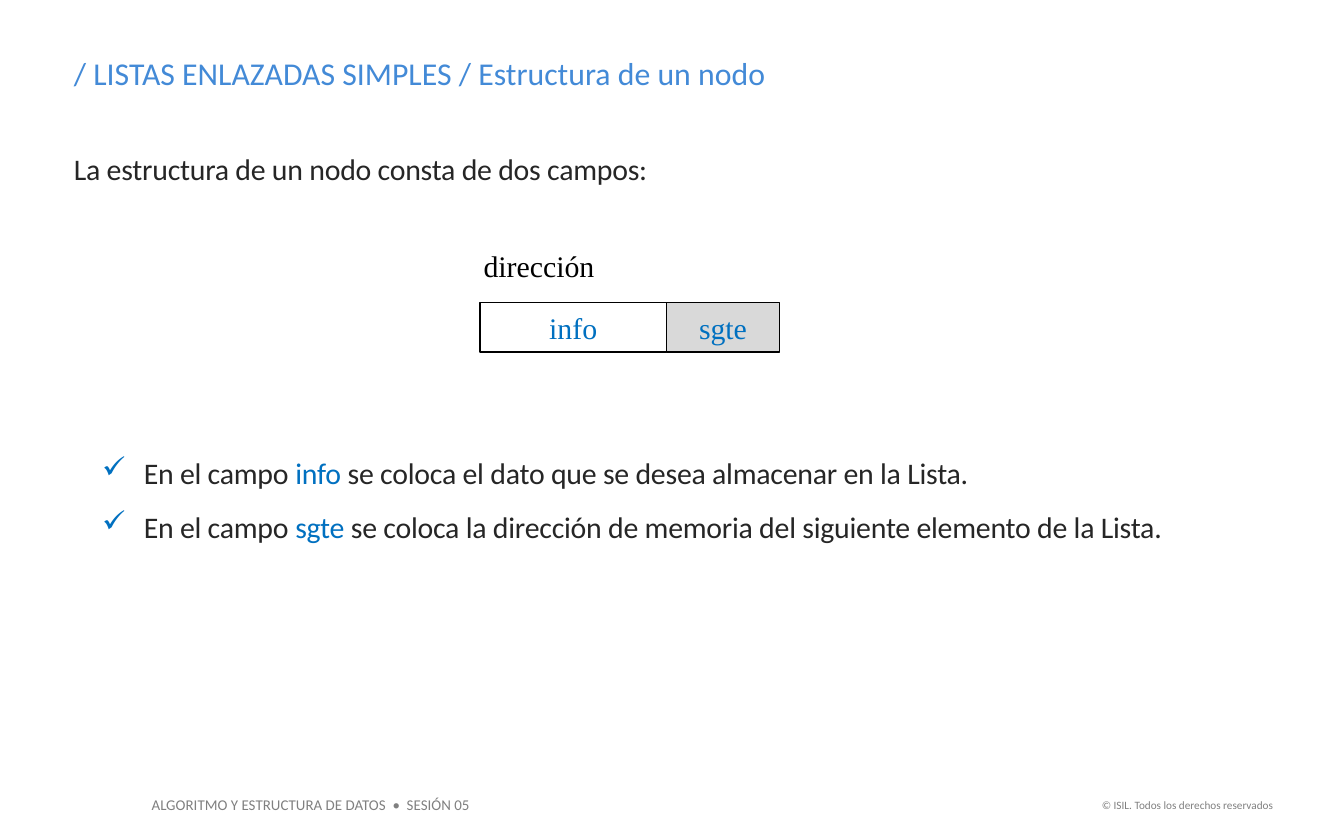
import pptx
import pptx.dml.color
import pptx.enum.shapes
import pptx.enum.text
import pptx.oxml
import pptx.oxml.ns
import pptx.util

RGBColor = pptx.dml.color.RGBColor
Align = pptx.enum.text.PP_ALIGN
Anchor = pptx.enum.text.MSO_ANCHOR

TITLE_BLUE = RGBColor(0x43, 0x8A, 0xD7)
FIELD_BLUE = RGBColor(0x00, 0x70, 0xC0)
BODY = RGBColor(0x26, 0x26, 0x26)
FOOTER_GRAY = RGBColor(0x80, 0x80, 0x80)
LINK_GRAY = RGBColor(0xD9, 0xD9, 0xD9)
BLACK = RGBColor(0, 0, 0)

SANS, SERIF = "Calibri", "Times New Roman"
WIDTH, HEIGHT = pptx.util.Inches(10), pptx.util.Inches(6.25)
COLUMN, ROW = WIDTH / 100, HEIGHT / 100

NODE_LEFT, NODE_TOP, NODE_ROWS = 35.7, 36, 5.92
INFO_COLUMNS, LINK_COLUMNS = 13.9, 8.4


def area(left, top, width, height):
    """Turn columns and rows of the 100 by 100 grid into lengths."""
    return (round(left * COLUMN), round(top * ROW),
            round(width * COLUMN), round(height * ROW))


def add_bullet(paragraph, mark, color):
    properties = paragraph._p.get_or_add_pPr()
    properties.set("marL", str(pptx.util.Inches(0.33)))
    properties.set("indent", str(pptx.util.Inches(-0.31)))
    namespace = pptx.oxml.ns.nsdecls("a")
    for xml in (f'<a:buClr {namespace}><a:srgbClr val="{color}"/></a:buClr>',
                f'<a:buChar {namespace} char="{mark}"/>'):
        properties.append(pptx.oxml.parse_xml(xml))


def write(shape, paragraphs, size=16, font=SANS, color=BODY, align=Align.LEFT,
          anchor=Anchor.TOP, wrap=True, inset=True, line_spacing=None,
          tracking=None, bullet=None):
    """Fill a shape with paragraphs, each a list of (text, color or None)."""
    frame = shape.text_frame
    frame.word_wrap = wrap
    frame.auto_size = pptx.enum.text.MSO_AUTO_SIZE.NONE
    frame.vertical_anchor = anchor
    if not inset:
        frame.margin_left = frame.margin_right = 0
        frame.margin_top = frame.margin_bottom = 0
    for index, pieces in enumerate(paragraphs):
        paragraph = frame.add_paragraph() if index else frame.paragraphs[0]
        if bullet:
            add_bullet(paragraph, bullet, FIELD_BLUE)
        paragraph.alignment = align
        if line_spacing:
            paragraph.line_spacing = line_spacing
        for text, accent in pieces:
            run = paragraph.add_run()
            run.text = text
            run.font.size = pptx.util.Pt(size)
            run.font.name = font
            run.font.color.rgb = accent or color
            if tracking is not None:
                run._r.get_or_add_rPr().set("spc", str(tracking))


def add_text(slide, place, paragraphs, **text_format):
    write(slide.shapes.add_textbox(*area(*place)), paragraphs, **text_format)


def add_title(slide, place, text):
    title = slide.shapes.title
    title.left, title.top, title.width, title.height = area(*place)
    write(title, [[(text, None)]], size=17, color=TITLE_BLUE)


def add_field(slide, left, columns, name, fill=None):
    """Draw one field of the node."""
    field = slide.shapes.add_shape(
        pptx.enum.shapes.MSO_SHAPE.RECTANGLE,
        *area(left, NODE_TOP, columns, NODE_ROWS))
    field.shadow.inherit = False
    if fill is None:
        field.fill.background()
    else:
        field.fill.solid()
        field.fill.fore_color.rgb = fill
    field.line.color.rgb = BLACK
    field.line.width = pptx.util.Pt(0.75)
    write(field, [[(name, None)]], font=SERIF, color=FIELD_BLUE,
          align=Align.CENTER, anchor=Anchor.MIDDLE)


def add_node(slide):
    add_field(slide, NODE_LEFT + INFO_COLUMNS, LINK_COLUMNS, "sgte", LINK_GRAY)
    add_field(slide, NODE_LEFT, INFO_COLUMNS, "info")
    add_text(slide, (35, 28.64, 16, NODE_ROWS), [[("dirección", None)]],
             font=SERIF, color=BLACK, anchor=Anchor.MIDDLE)


def add_footer(slide):
    add_text(slide, (10.3, 93.92, 25.8, 3.84),
             [[("ALGORITMO Y ESTRUCTURA DE DATOS  •  SESIÓN 05", None)]],
             size=8, color=FOOTER_GRAY, wrap=False)
    add_text(slide, (80.7, 94.24, 15, 3.2),
             [[("© ISIL. Todos los derechos reservados", None)]],
             size=6, color=FOOTER_GRAY, align=Align.RIGHT, wrap=False)


def main():
    presentation = pptx.Presentation()
    presentation.slide_width, presentation.slide_height = WIDTH, HEIGHT
    slide = presentation.slides.add_slide(presentation.slide_layouts[5])

    add_footer(slide)
    add_title(slide, (4.5, 5.6, 78.8, 6.24),
              "/ LISTAS ENLAZADAS SIMPLES / Estructura de un nodo")
    body_format = {"inset": False, "line_spacing": 1.5, "tracking": -10}
    descriptions = (
        ("info", " se coloca el dato que se desea almacenar en la Lista."),
        ("sgte", " se coloca la dirección de memoria del siguiente elemento"
                 " de la Lista."),
    )
    add_text(slide, (7.4, 52, 82.7, 12.96),
             [[("En el campo ", None), (field, FIELD_BLUE), (purpose, None)]
              for field, purpose in descriptions],
             bullet="✓", **body_format)
    add_node(slide)
    add_text(slide, (5.5, 15.84, 52.6, 6.4),
             [[("La estructura de un nodo consta de dos campos:", None)]],
             **body_format)

    presentation.save("out.pptx")


if __name__ == "__main__":
    main()
